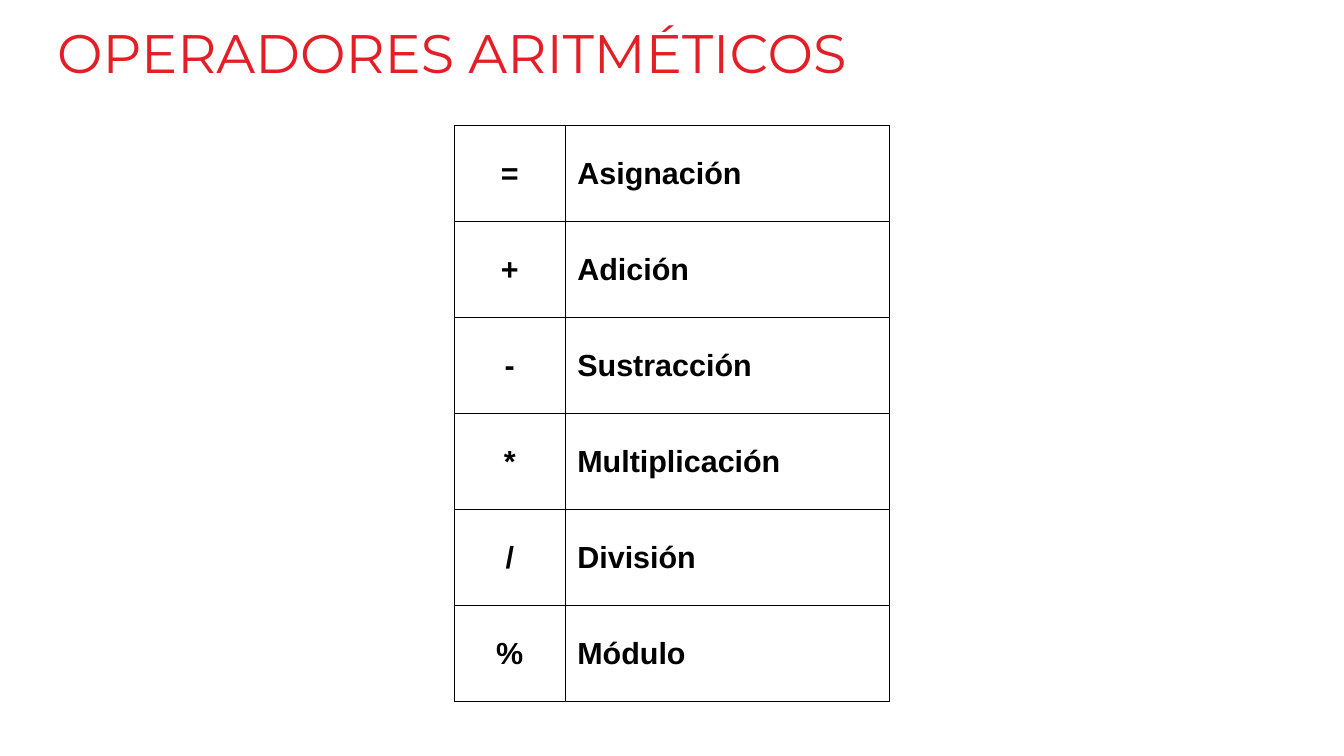
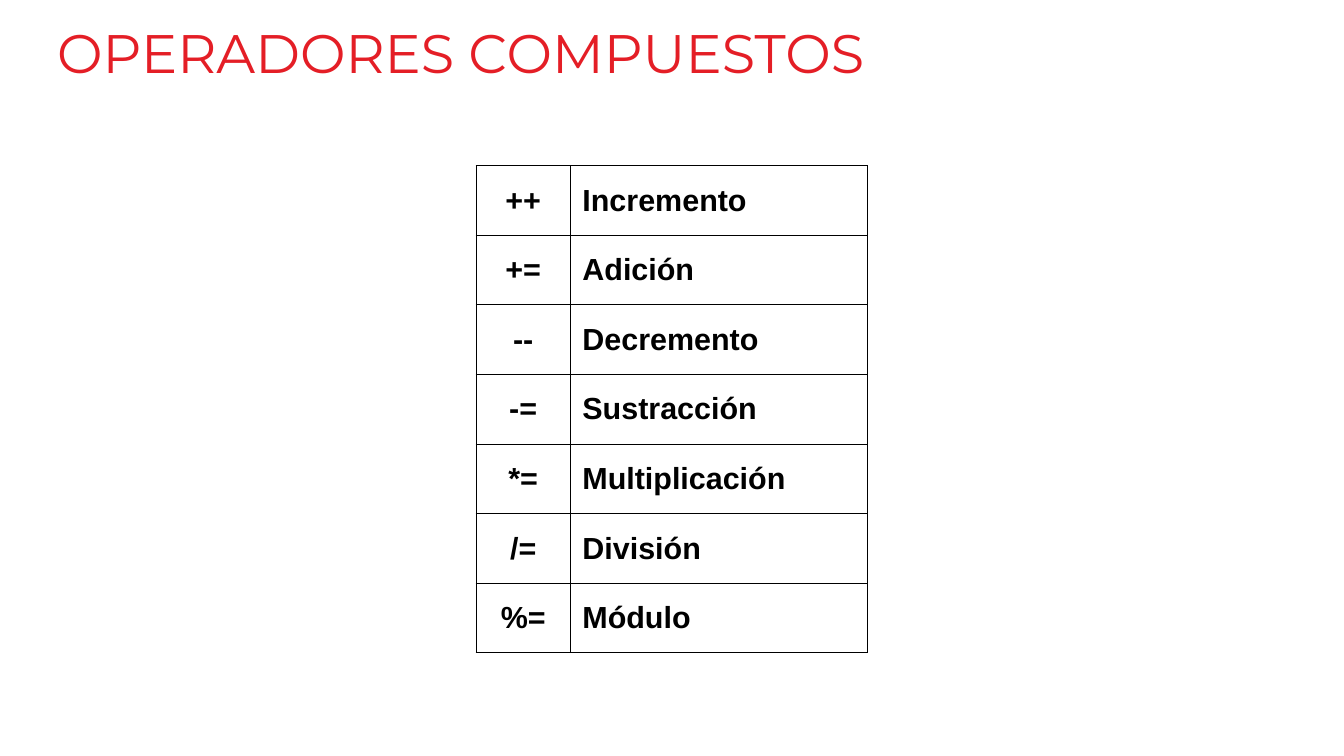
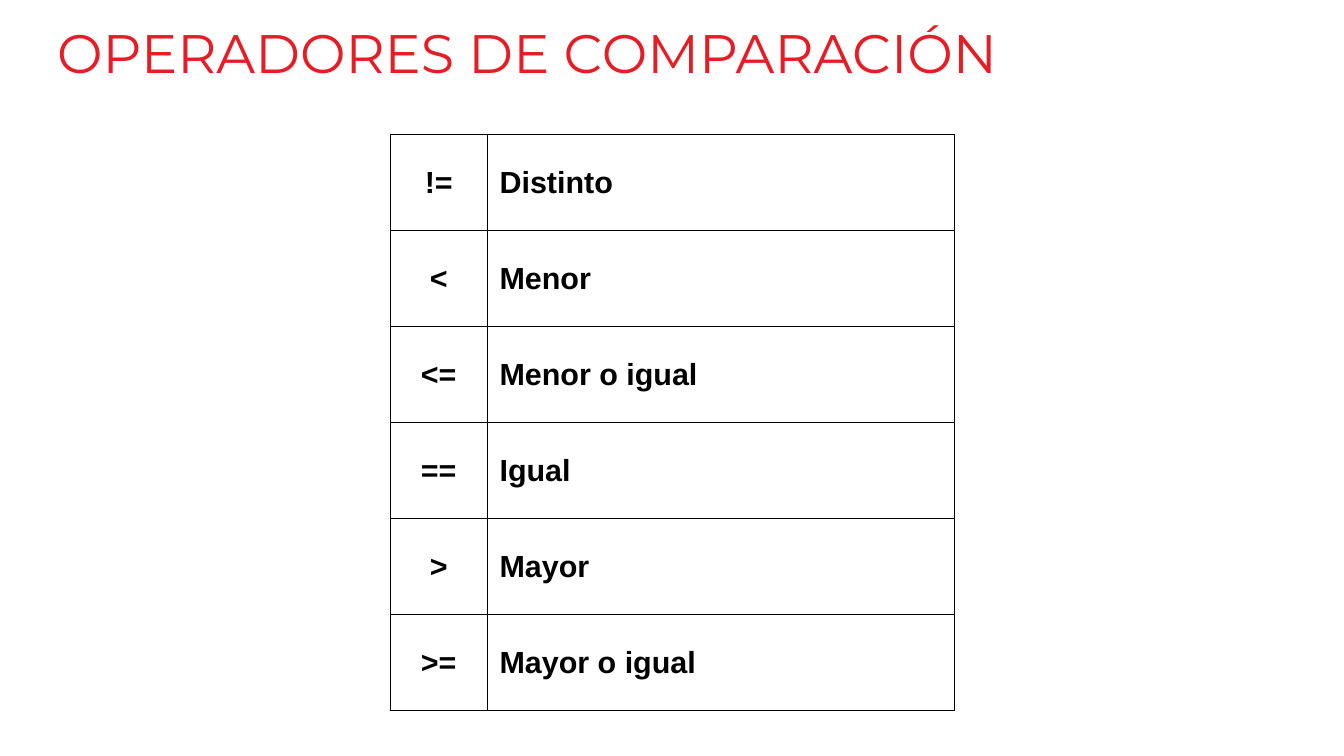
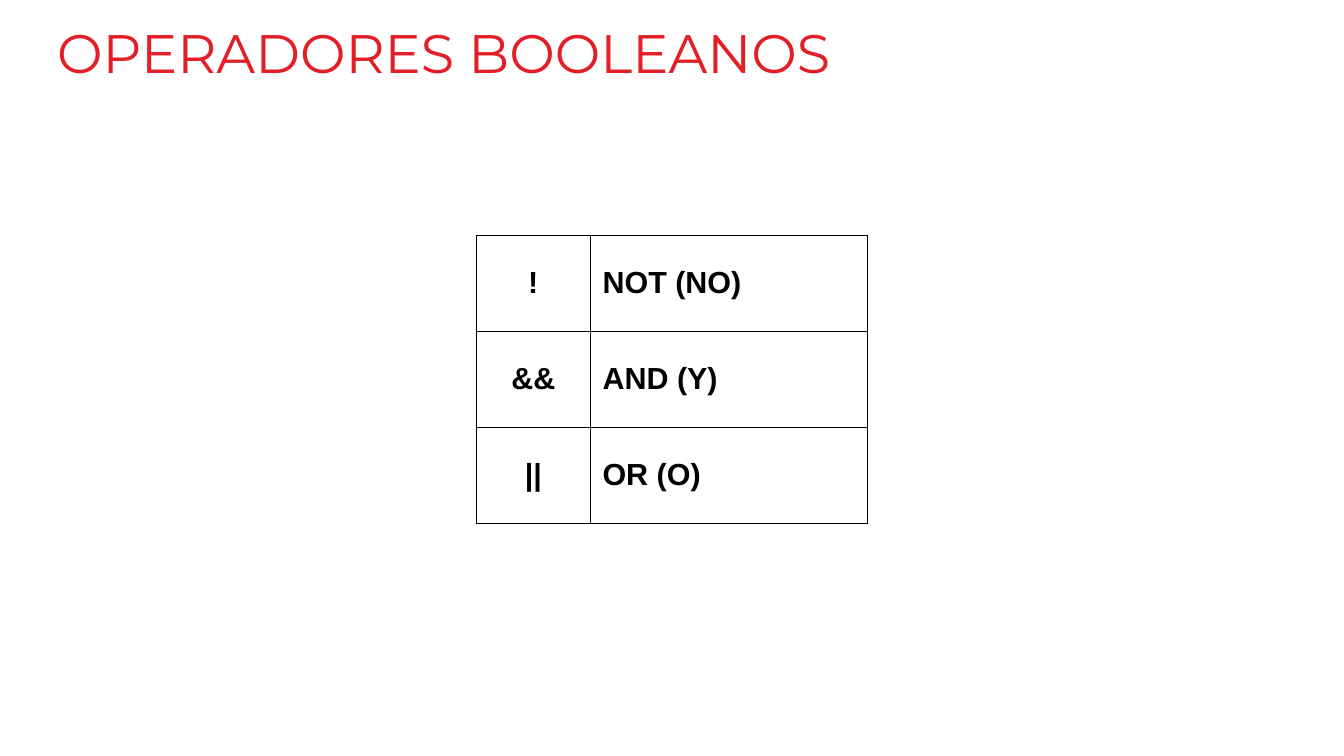
import dataclasses

import lxml.etree
import pptx
import pptx.dml.color
import pptx.enum.text
import pptx.oxml.ns
import pptx.util

Cm = pptx.util.Cm
Pt = pptx.util.Pt
ALIGN = pptx.enum.text.PP_ALIGN
MIDDLE = pptx.enum.text.MSO_ANCHOR.MIDDLE


@dataclasses.dataclass(frozen=True)
class Theme:
    title_color: str = "E41E26"
    title_font: str = "Montserrat"
    title_size: float = 32
    table_color: str = "000000"
    table_font: str = "Arial"
    table_size: float = 18
    border_width: float = 0.57


@dataclasses.dataclass(frozen=True)
class OperatorSlide:
    """Lengths are in centimetres; each operator is a (symbol, meaning) pair."""
    title: str
    top: float
    symbol_width: float
    meaning_width: float
    operators: tuple
    row_height: float = 2


THEME = Theme()
SLIDE_WIDTH, SLIDE_HEIGHT = Cm(28), Cm(15.75)
TITLE_BOX = Cm(1.19), Cm(0.18), Cm(21.6), Cm(1.8)
TITLE_ONLY = 5

OPERATOR_SLIDES = (
    OperatorSlide("OPERADORES ARITMÉTICOS", 2.62, 2.31, 6.76, (
        ("=", "Asignación"),
        ("+", "Adición"),
        ("-", "Sustracción"),
        ("*", "Multiplicación"),
        ("/", "División"),
        ("%", "Módulo"),
    )),
    OperatorSlide("OPERADORES COMPUESTOS", 3.45, 1.96, 6.2, (
        ("++", "Incremento"),
        ("+=", "Adición"),
        ("--", "Decremento"),
        ("-=", "Sustracción"),
        ("*=", "Multiplicación"),
        ("/=", "División"),
        ("%=", "Módulo"),
    ), row_height=1.45),
    OperatorSlide("OPERADORES DE COMPARACIÓN", 2.8, 2.03, 9.72, (
        ("!=", "Distinto"),
        ("<", "Menor"),
        ("<=", "Menor o igual"),
        ("==", "Igual"),
        (">", "Mayor"),
        (">=", "Mayor o igual"),
    )),
    OperatorSlide("OPERADORES BOOLEANOS", 4.9, 2.38, 5.78, (
        ("!", "NOT (NO)"),
        ("&&", "AND (Y)"),
        ("||", "OR (O)"),
    )),
)


def format_text(paragraph, alignment, font_name, size, color, bold=False):
    paragraph.alignment = alignment
    for run in paragraph.runs:
        run.font.name = font_name
        run.font.size = Pt(size)
        run.font.bold = bold
        run.font.color.rgb = pptx.dml.color.RGBColor.from_string(color)


def place_title(title, text, box):
    title.left, title.top, title.width, title.height = box
    frame = title.text_frame
    frame.text = text
    frame.word_wrap = True
    frame.auto_size = pptx.enum.text.MSO_AUTO_SIZE.NONE
    frame.vertical_anchor = MIDDLE
    frame.margin_left = frame.margin_top = frame.margin_right = frame.margin_bottom = 0
    format_text(frame.paragraphs[0], ALIGN.LEFT, THEME.title_font,
                THEME.title_size, THEME.title_color)


def draw_borders(cell):
    qn = pptx.oxml.ns.qn
    properties = cell._tc.get_or_add_tcPr()
    for side in ("a:lnL", "a:lnR", "a:lnT", "a:lnB"):
        border = lxml.etree.SubElement(properties, qn(side),
                                       w=str(int(Pt(THEME.border_width))))
        fill = lxml.etree.SubElement(border, qn("a:solidFill"))
        lxml.etree.SubElement(fill, qn("a:srgbClr"), val=THEME.table_color)


def fill_cell(cell, text, alignment):
    cell.text_frame.text = text
    cell.vertical_anchor = MIDDLE
    draw_borders(cell)
    cell.fill.background()
    format_text(cell.text_frame.paragraphs[0], alignment, THEME.table_font,
                THEME.table_size, THEME.table_color, bold=True)


def add_operator_table(slide, content):
    """Add the operator table, centred across the slide."""
    widths = Cm(content.symbol_width), Cm(content.meaning_width)
    row_height = Cm(content.row_height)
    row_count = len(content.operators)
    table = slide.shapes.add_table(
        row_count, len(widths), (SLIDE_WIDTH - sum(widths)) // 2, Cm(content.top),
        sum(widths), row_height * row_count).table
    table.first_row = table.horz_banding = False
    for column, width in zip(table.columns, widths):
        column.width = width
    for row, (symbol, meaning) in zip(table.rows, content.operators):
        row.height = row_height
        fill_cell(row.cells[0], symbol, ALIGN.CENTER)
        fill_cell(row.cells[1], meaning, ALIGN.LEFT)


def add_operator_slide(deck, content):
    slide = deck.slides.add_slide(deck.slide_layouts[TITLE_ONLY])
    place_title(slide.shapes.title, content.title, TITLE_BOX)
    add_operator_table(slide, content)


def main():
    deck = pptx.Presentation()
    deck.slide_width, deck.slide_height = SLIDE_WIDTH, SLIDE_HEIGHT
    for content in OPERATOR_SLIDES:
        add_operator_slide(deck, content)
    deck.save("out.pptx")


if __name__ == "__main__":
    main()
